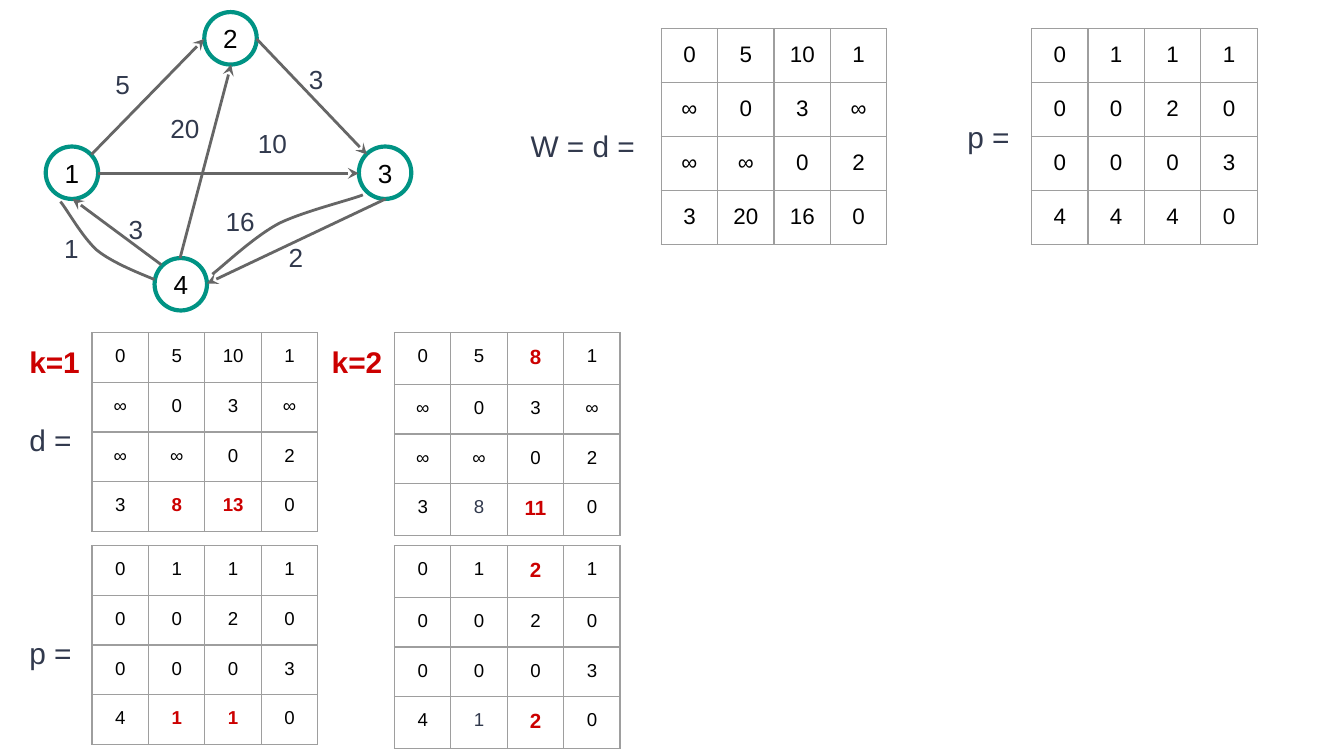
"""Build a slide tracing shortest paths on a four-node graph."""
import lxml.etree
import pptx
import pptx.dml.color
import pptx.enum.shapes
import pptx.enum.text
import pptx.oxml.ns
import pptx.util

RGB = pptx.dml.color.RGBColor
BLACK, WHITE = RGB(0, 0, 0), RGB(255, 255, 255)
TEAL, GRAY = RGB(0x00, 0x93, 0x84), RGB(0x66, 0x66, 0x66)
SLATE, RED = RGB(0x31, 0x39, 0x4D), RGB(0xCC, 0, 0)
RULE = RGB(0x9E, 0x9E, 0x9E)
FONT = "Arial"
COLS, ROWS = 100, 56.25
STEP = pptx.util.Inches(0.1)
NODE, CELL, DEEP = 3.9, 4.2, 3.7
NEW, KEPT = "*", "~"

NODES = [("1", 3.4, 10.9), ("4", 11.5, 19.2), ("3", 26.7, 10.9), ("2", 15.2, 0.9)]
EDGES = [
    (7.3, 12.9, 26.7, 12.9),
    (6.8, 11.5, 15.2, 2.9),
    (28.7, 14.8, 15.4, 21.1),
    (12, 19.7, 5.4, 14.8),
    (13.4, 19.2, 17.2, 4.8),
    (19.1, 2.9, 27.3, 11.5),
]
CURVES = [
    [(4.5, 15), (5, 15.6), (6.1, 17.6), (7.2, 18.6), (8.4, 19.6), (10.8, 20.5), (11.5, 20.8)],
    [(15.8, 20.4), (16.6, 19.8), (18.9, 17.6), (20.8, 16.6), (22.7, 15.7), (26, 14.9), (27, 14.5)],
]
COSTS = [
    ("1", 3.8, 16.3), ("10", 18.2, 8.5), ("3", 22, 3.7), ("2", 20.5, 17),
    ("5", 7.6, 4.1), ("3", 8.6, 14.9), ("20", 11.7, 7.4), ("16", 15.8, 14.3),
]
NAMES = [
    ("W = d =", 38.5, 8.5, 10.7), ("p =", 71, 7.8, 5.7),
    ("d =", 1.2, 30.4, 5.7), ("p =", 1.2, 46.2, 5.7),
]
STAGES = [("k=1", 1.2, 24.6, 6.7), ("k=2", 23.7, 24.6, 6.7)]
GRIDS = [
    (49.2, 2.15, 12, 12, ["0 5 10 1", "∞ 0 3 ∞", "∞ ∞ 0 2", "3 20 16 0"]),
    (76.75, 2.15, 12, 12, ["0 1 1 1", "0 0 2 0", "0 0 0 3", "4 4 4 0"]),
    (6.85, 24.75, 10, 10, ["0 5 10 1", "∞ 0 3 ∞", "∞ ∞ 0 2", "3 8* 13* 0"]),
    (6.85, 40.6, 10, 10, ["0 1 1 1", "0 0 2 0", "0 0 0 3", "4 1* 1* 0"]),
    (29.35, 24.75, 10, 11, ["0 5 8* 1", "∞ 0 3 ∞", "∞ ∞ 0 2", "3 8~ 11* 0"]),
    (29.35, 40.6, 10, 11, ["0 1 2* 1", "0 0 2 0", "0 0 0 3", "4 1~ 2* 0"]),
]


def grid(*nums):
    return [round(num * STEP) for num in nums]


def write(frame, text, size, color, bold=False, center=False):
    para = frame.paragraphs[0]
    para.text = text
    if center:
        para.alignment = pptx.enum.text.PP_ALIGN.CENTER
    font = para.font
    font.name, font.size, font.bold = FONT, pptx.util.Pt(size), bold
    font.color.rgb = color


def inset(item, gap):
    item.margin_left = item.margin_right = pptx.util.Inches(gap)
    item.margin_top = item.margin_bottom = pptx.util.Inches(gap)


def add(base, tag, **attrs):
    return lxml.etree.SubElement(base, pptx.oxml.ns.qn(tag), **attrs)


def stroke(shape, color=GRAY, width=1.5):
    shape.line.color.rgb = color
    shape.line.width = pptx.util.Pt(width)


def draw_node(shapes, text, left, top):
    kind = pptx.enum.shapes.MSO_SHAPE.OVAL
    node = shapes.add_shape(kind, *grid(left, top, NODE, NODE))
    node.shadow.inherit = False
    if text == "1":
        node.fill.solid()
        node.fill.fore_color.rgb = WHITE
    else:
        node.fill.background()
    stroke(node, TEAL, 2.25)
    frame = node.text_frame
    inset(frame, 0.02)
    frame.vertical_anchor = pptx.enum.text.MSO_ANCHOR.MIDDLE
    write(frame, text, 14, BLACK, center=True)


def draw_edge(shapes, ends):
    kind = pptx.enum.shapes.MSO_CONNECTOR.STRAIGHT
    edge = shapes.add_connector(kind, *grid(*ends))
    stroke(edge)
    props = edge.element.spPr
    add(props.find(pptx.oxml.ns.qn("a:ln")), "a:tailEnd", type="stealth")
    add(props, "a:effectLst")


def draw_curve(shapes, points):
    spots = [grid(*point) for point in points]
    build = shapes.build_freeform(*spots[0])
    build.add_line_segments(spots[1:], close=False)
    curve = build.convert_to_shape()
    curve.shadow.inherit = False
    curve.fill.background()
    stroke(curve)
    lines = list(curve.element.iter(pptx.oxml.ns.qn("a:lnTo")))
    track = lines[0].getparent()
    for start in range(0, len(lines), 3):
        bend = add(track, "a:cubicBezTo")
        for line in lines[start:start + 3]:
            bend.append(line[0])
            track.remove(line)


def draw_label(shapes, text, left, top, width, high, size, color, bold=False):
    box = shapes.add_textbox(*grid(left, top, width, high))
    frame = box.text_frame
    inset(frame, 0.1)
    frame.word_wrap = True
    frame.auto_size = pptx.enum.text.MSO_AUTO_SIZE.SHAPE_TO_FIT_TEXT
    write(frame, text, size, color, bold)


def draw_cell(cell, mark, size, hot):
    inset(cell, 0.1)
    new, kept = mark.endswith(NEW), mark.endswith(KEPT)
    color = RED if new else SLATE if kept else BLACK
    text = mark.rstrip(NEW + KEPT)
    write(cell.text_frame, text, hot if new else size, color, new, True)
    props = cell._tc.get_or_add_tcPr()
    for side in ("L", "R", "T", "B"):
        line = add(props, "a:ln" + side, w=str(pptx.util.Pt(0.75)))
        add(add(line, "a:solidFill"), "a:srgbClr", val=str(RULE))
    cell.fill.background()


def draw_grid(shapes, left, top, size, hot, lines):
    rows = [line.split() for line in lines]
    count, wide = len(rows), len(rows[0])
    place = grid(left, top, wide * CELL, count * DEEP)
    table = shapes.add_table(count, wide, *place).table
    table.first_row = table.horz_banding = False
    for row, marks in enumerate(rows):
        for col, mark in enumerate(marks):
            draw_cell(table.cell(row, col), mark, size, hot)


def main():
    deck = pptx.Presentation()
    deck.slide_width, deck.slide_height = grid(COLS, ROWS)
    shapes = deck.slides.add_slide(deck.slide_layouts[6]).shapes
    for node in NODES:
        draw_node(shapes, *node)
    for edge in EDGES:
        draw_edge(shapes, edge)
    for curve in CURVES:
        draw_curve(shapes, curve)
    for cost in COSTS:
        draw_label(shapes, *cost, 4.7, 4.4, 14, SLATE)
    for item in GRIDS:
        draw_grid(shapes, *item)
    for name in NAMES:
        draw_label(shapes, *name, 4.7, 16, SLATE)
    for stage in STAGES:
        draw_label(shapes, *stage, 4.7, 16, RED, True)
    deck.save("out.pptx")


if __name__ == "__main__":
    main()
